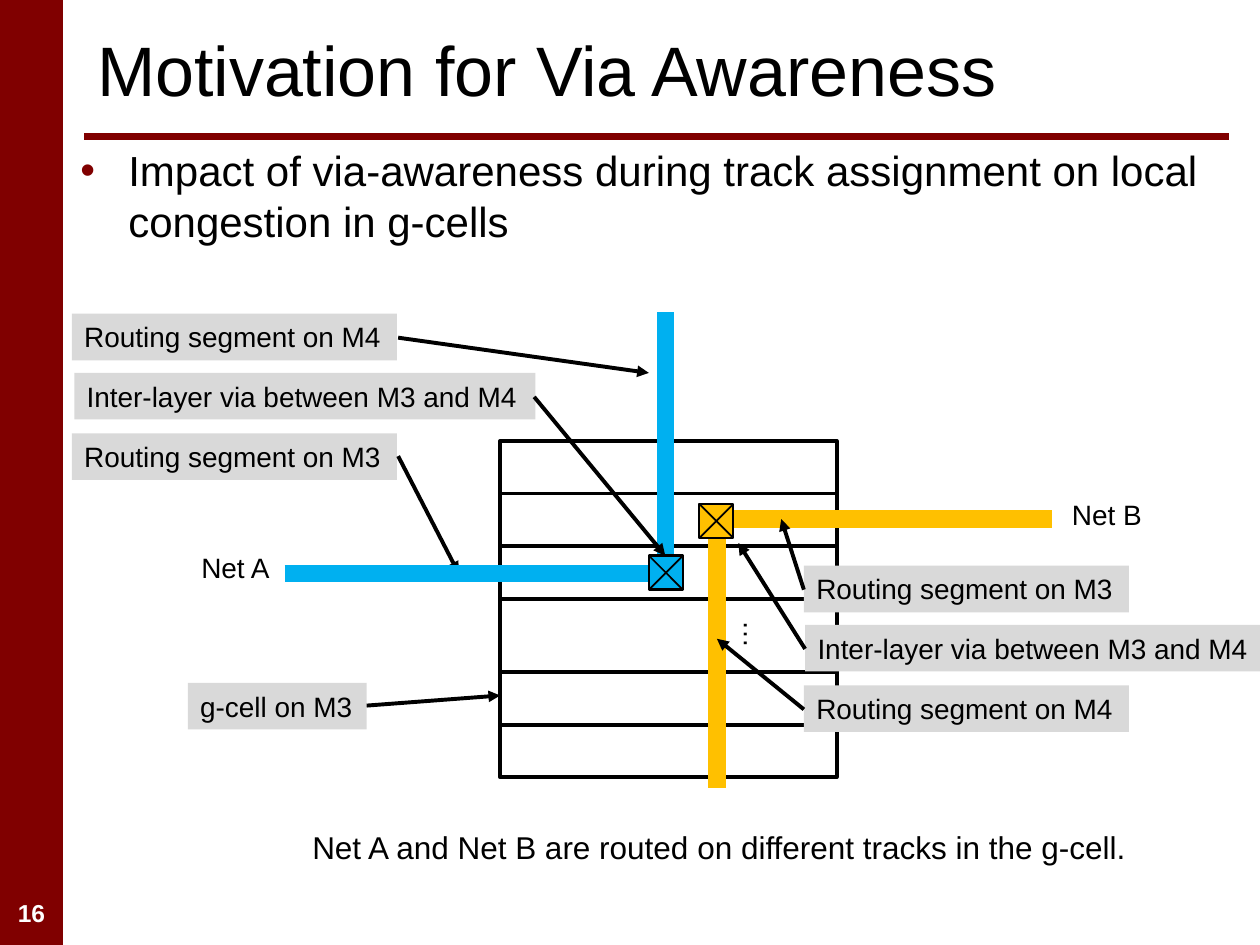
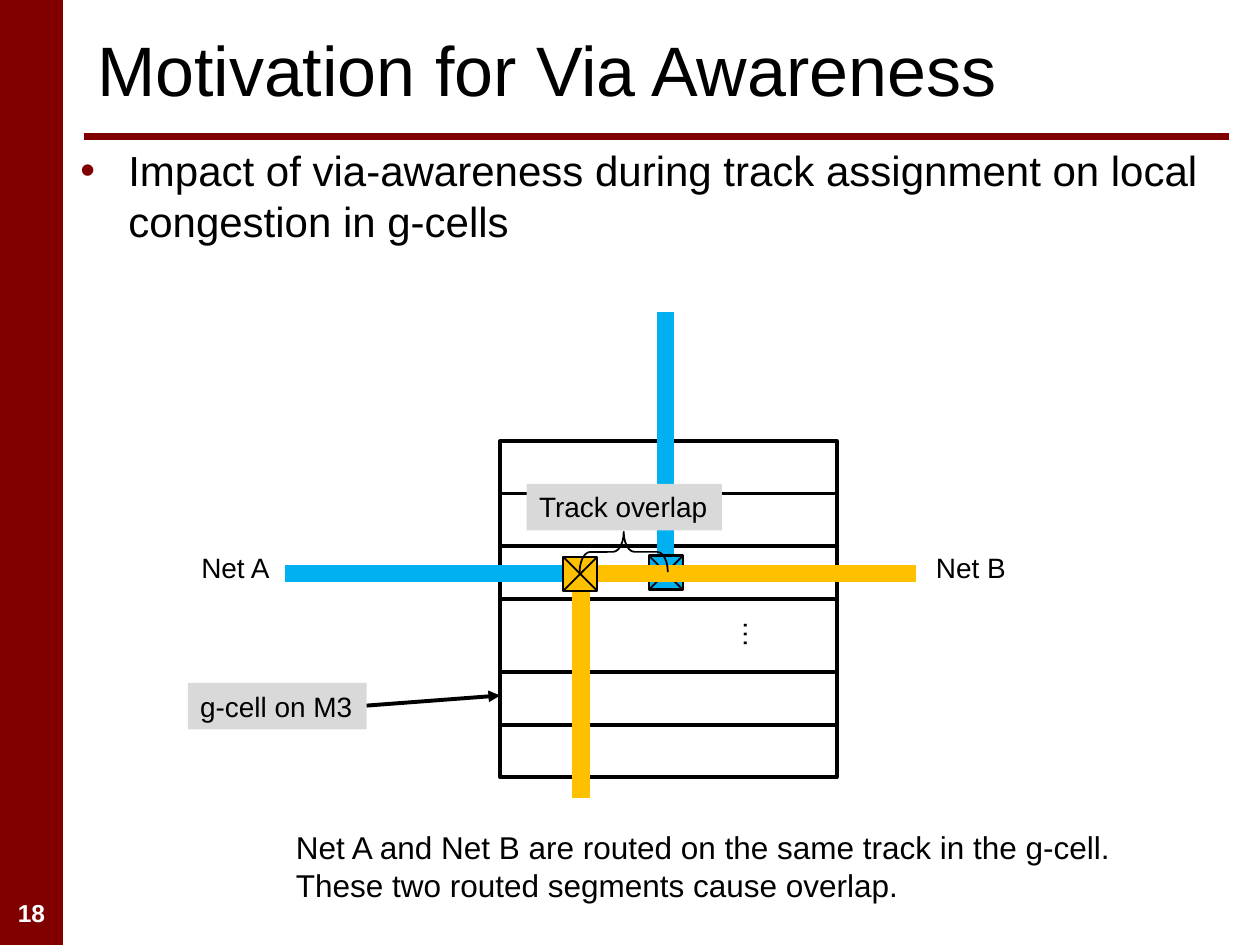
"""Build two slides on via awareness in track assignment."""
from dataclasses import dataclass

from lxml import etree
from pptx import Presentation
from pptx.dml.color import RGBColor
from pptx.enum.shapes import MSO_CONNECTOR, MSO_SHAPE
from pptx.enum.text import MSO_ANCHOR, MSO_AUTO_SIZE, PP_ALIGN
from pptx.oxml.ns import qn
from pptx.util import Inches, Pt

RECTANGLE, BRACE = MSO_SHAPE.RECTANGLE, MSO_SHAPE.LEFT_BRACE
STRAIGHT = MSO_CONNECTOR.STRAIGHT
TOP, MIDDLE = MSO_ANCHOR.TOP, MSO_ANCHOR.MIDDLE
LEFT, CENTER = PP_ALIGN.LEFT, PP_ALIGN.CENTER
FIXED, GROW = MSO_AUTO_SIZE.NONE, MSO_AUTO_SIZE.SHAPE_TO_FIT_TEXT

MAROON = RGBColor(0x80, 0x00, 0x00)
BLACK = RGBColor(0x00, 0x00, 0x00)
WHITE = RGBColor(0xFF, 0xFF, 0xFF)
GREY = RGBColor(0xD9, 0xD9, 0xD9)
BLUE = RGBColor(0x00, 0xB0, 0xF0)
YELLOW = RGBColor(0xFF, 0xC0, 0x00)

FONT = "Arial"
TITLE = "Motivation for Via Awareness"
BULLET = ("Impact of via-awareness during track assignment on local "
          "congestion in g-cells")
LABEL_HEIGHT = 0.37
VIA_SIZE = 0.27
CELL_LEFT, CELL_TOP, CELL_SIZE = 3.97, 3.5, 2.67
TRACK_PITCH = CELL_SIZE / 6.4


@dataclass(frozen=True)
class Callout:
    """A grey label with an optional arrow from one of its sides."""
    text: str
    left: float
    top: float
    width: float
    start: tuple | None = None
    target: tuple | None = None


@dataclass(frozen=True)
class Net:
    """A horizontal and a vertical segment joined by a via."""
    color: RGBColor
    horizontal: tuple
    vertical: tuple
    via: tuple


M3_TEXT = "Routing segment on M3"
M4_TEXT = "Routing segment on M4"
VIA_TEXT = "Inter-layer via between M3 and M4"
CELL_CALLOUT = Callout("g-cell on M3", 1.49, 5.42, 1.42, (2.91, 5.6), (3.97, 5.52))
LEFT_CALLOUTS = (
    Callout(M3_TEXT, 0.57, 3.44, 2.58, (3.16, 3.62), (3.64, 4.55)),
    Callout(M4_TEXT, 0.57, 2.49, 2.58, (3.16, 2.68), (5.15, 2.96)),
    Callout(VIA_TEXT, 0.59, 2.96, 3.66),
)
RIGHT_CALLOUTS = (
    Callout(M4_TEXT, 6.38, 5.44, 2.58, (6.38, 5.63), (5.69, 5.07)),
    Callout(M3_TEXT, 6.38, 4.49, 2.58, (6.38, 4.68), (6.2, 4.12)),
    Callout(VIA_TEXT, 6.39, 4.96, 3.66, (6.39, 5.15), (5.86, 4.31)),
)
OVERLAP_CALLOUT = Callout("Track overlap", 4.18, 3.84, 1.55)

NET_A = Net(BLUE, ((2.26, 4.55), (5.15, 4.55)), ((5.28, 4.56), (5.28, 2.48)),
            (5.15, 4.41))
NET_B_APART = Net(YELLOW, ((5.69, 4.12), (8.35, 4.12)),
                  ((5.69, 4.12), (5.69, 6.25)), (5.55, 4))
NET_B_OVERLAP = Net(YELLOW, ((4.61, 4.55), (7.27, 4.55)),
                    ((4.61, 4.55), (4.61, 6.33)), (4.47, 4.42))


def set_values(target, values: dict) -> None:
    """Set each named attribute of the target."""
    for name, value in values.items():
        setattr(target, name, value)


def write(box, lines: tuple, size: float, frame: dict | None = None,
          font: dict | None = None, align=LEFT) -> None:
    """Write one paragraph per line into a box."""
    text_frame = box.text_frame
    set_values(text_frame, {"word_wrap": True, "auto_size": GROW,
                            "vertical_anchor": TOP} | (frame or {}))
    text_frame.text = "\n".join(lines)
    for para in text_frame.paragraphs:
        para.alignment = align
        for span in para.runs:
            set_values(span.font, {"name": FONT, "size": Pt(size)} | (font or {}))
            if not (font or {}).get("bold"):
                span.font.color.rgb = BLACK
            else:
                span.font.color.rgb = WHITE


def add_text(shapes, place: tuple, lines: tuple, size: float, **options):
    """Add a text box at a place given in inches."""
    box = shapes.add_textbox(*map(Inches, place))
    write(box, lines, size, **options)
    return box


def add_box(shapes, kind, place: tuple, fill: RGBColor | None = None,
            line_width: float = 0):
    """Add a preset shape with a plain fill and a black or absent outline."""
    box = shapes.add_shape(kind, *map(Inches, place))
    box.shadow.inherit = False
    if fill is None:
        box.fill.background()
    else:
        box.fill.solid()
        box.fill.fore_color.rgb = fill
    if line_width:
        box.line.color.rgb = BLACK
        box.line.width = Pt(line_width)
    else:
        box.line.fill.background()
    return box


def add_line(shapes, start: tuple, end: tuple, color: RGBColor = BLACK,
             width: float = 2.25, arrow: bool = False) -> None:
    """Add a straight line, with an arrowhead at its end if asked."""
    line = shapes.add_connector(STRAIGHT, *map(Inches, (*start, *end)))
    line.line.color.rgb = color
    line.line.width = Pt(width)
    properties = line._element.spPr
    if arrow:
        outline = properties.find(qn("a:ln"))
        etree.SubElement(outline, qn("a:tailEnd"), type="triangle")
    etree.SubElement(properties, qn("a:effectLst"))


def add_callout(shapes, callout: Callout) -> None:
    """Add a grey label and its arrow."""
    place = (callout.left, callout.top, callout.width, LABEL_HEIGHT)
    box = add_box(shapes, RECTANGLE, place, GREY)
    write(box, (callout.text,), 16, {"word_wrap": False})
    if callout.target:
        add_line(shapes, callout.start, callout.target, arrow=True)


def add_net_name(shapes, name: str, left: float, top: float) -> None:
    """Add the name at the end of a net."""
    add_text(shapes, (left, top, 0.76, LABEL_HEIGHT), (name,), 16,
             frame={"word_wrap": False})


def add_net(shapes, net: Net) -> None:
    """Add both segments of a net and the crossed via over their corner."""
    for start, end in (net.horizontal, net.vertical):
        add_line(shapes, start, end, net.color, 10)
    via = shapes.add_group_shape().shapes
    left, top = net.via
    right, bottom = left + VIA_SIZE, top + VIA_SIZE
    add_box(via, RECTANGLE, (left, top, VIA_SIZE, VIA_SIZE), net.color, 1.25)
    add_line(via, (left, top), (right, bottom), width=1)
    add_line(via, (right, top), (left, bottom), width=1)


def add_cell(shapes) -> None:
    """Add the g-cell with three tracks below its top and two above its bottom."""
    cell = shapes.add_group_shape().shapes
    bottom = CELL_TOP + CELL_SIZE
    add_box(cell, RECTANGLE, (CELL_LEFT, CELL_TOP, CELL_SIZE, CELL_SIZE),
            line_width=2.25)
    tracks = [CELL_TOP + TRACK_PITCH * step for step in (1, 2, 3)]
    tracks += [bottom - TRACK_PITCH * step for step in (1, 2)]
    for height in tracks:
        add_line(cell, (CELL_LEFT, height), (CELL_LEFT + CELL_SIZE, height))
    dots = add_text(cell, (5.6, 5.03, 0.78, LABEL_HEIGHT), ("…",), 16)
    dots.rotation = 90


def add_bullet(para) -> None:
    """Give a paragraph a maroon bullet with a hanging indent."""
    properties = para._p.get_or_add_pPr()
    properties.set("marL", str(Inches(0.38)))
    properties.set("indent", str(Inches(-0.38)))
    color = etree.SubElement(properties, qn("a:buClr"))
    etree.SubElement(color, qn("a:srgbClr"), val=str(MAROON))
    etree.SubElement(properties, qn("a:buFont"), typeface=FONT)
    etree.SubElement(properties, qn("a:buChar"), char="•")


def add_page(deck, number: int):
    """Add a slide with the band, rule, number, title, bullet and g-cell."""
    page = deck.slides.add_slide(deck.slide_layouts[5])
    shapes = page.shapes
    add_box(shapes, RECTANGLE, (0, 0, 0.5, 7.5), MAROON)
    add_line(shapes, (0.67, 1.08), (9.75, 1.08), MAROON, 4)
    add_text(shapes, (0, 7.08, 0.5, 0.33), (str(number),), 14,
             font={"bold": True}, align=CENTER)
    title = shapes.title
    set_values(title, {"left": Inches(0.67), "top": Inches(0),
                       "width": Inches(9.17), "height": Inches(1.08)})
    write(title, (TITLE,), 40, {"auto_size": FIXED, "vertical_anchor": MIDDLE})
    body = add_text(shapes, (0.54, 1.1, 9.17, 1.08), (BULLET,), 24,
                    frame={"auto_size": FIXED})
    add_bullet(body.text_frame.paragraphs[0])
    add_cell(shapes)
    add_callout(shapes, CELL_CALLOUT)
    add_net_name(shapes, "Net A", 1.5, 4.32)
    return page


def build_separate_tracks(deck) -> None:
    """Add the slide whose nets use different tracks."""
    shapes = add_page(deck, 16).shapes
    for callout in LEFT_CALLOUTS:
        add_callout(shapes, callout)
    add_net(shapes, NET_B_APART)
    add_net_name(shapes, "Net B", 8.41, 3.9)
    for callout in RIGHT_CALLOUTS:
        add_callout(shapes, callout)
    add_text(shapes, (2.38, 6.52, 6.85, 0.4),
             ("Net A and Net B are routed on different tracks in the g-cell.",), 18)
    add_net(shapes, NET_A)
    add_line(shapes, (4.24, 3.15), (5.28, 4.41), arrow=True)


def build_shared_track(deck) -> None:
    """Add the slide whose nets overlap on one track."""
    shapes = add_page(deck, 18).shapes
    add_text(shapes, (2.25, 6.52, 6.85, 0.71),
             ("Net A and Net B are routed on the same track in the g-cell.",
              "These two routed segments cause overlap."), 18)
    add_net(shapes, NET_A)
    add_net(shapes, NET_B_OVERLAP)
    add_net_name(shapes, "Net B", 7.33, 4.32)
    overlap = shapes.add_group_shape().shapes
    brace = add_box(overlap, BRACE, (4.79, 4.03, 0.32, 0.7), line_width=1)
    brace.rotation = 90
    brace.adjustments[0] = 0.265
    add_callout(overlap, OVERLAP_CALLOUT)


def main() -> None:
    """Build and save the deck."""
    deck = Presentation()
    deck.slide_width, deck.slide_height = Inches(10), Inches(7.5)
    build_separate_tracks(deck)
    build_shared_track(deck)
    deck.save("out.pptx")


if __name__ == "__main__":
    main()
